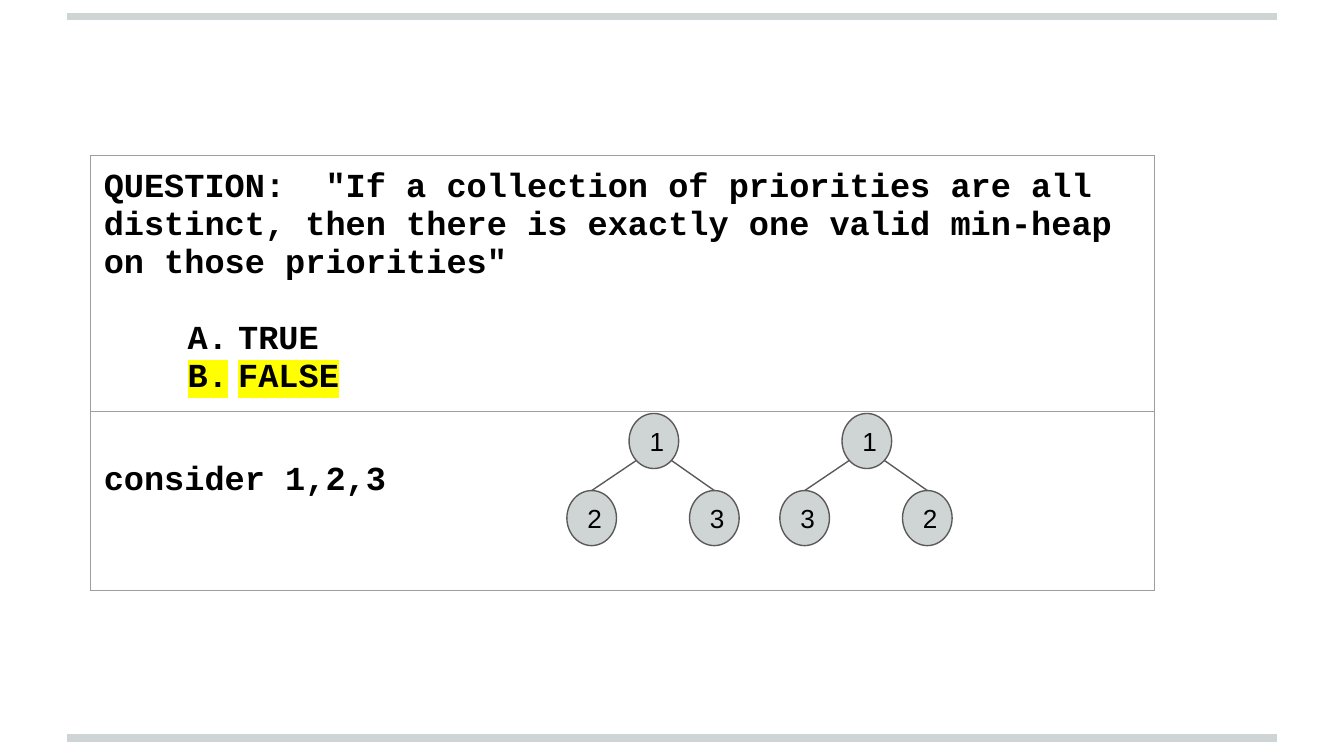
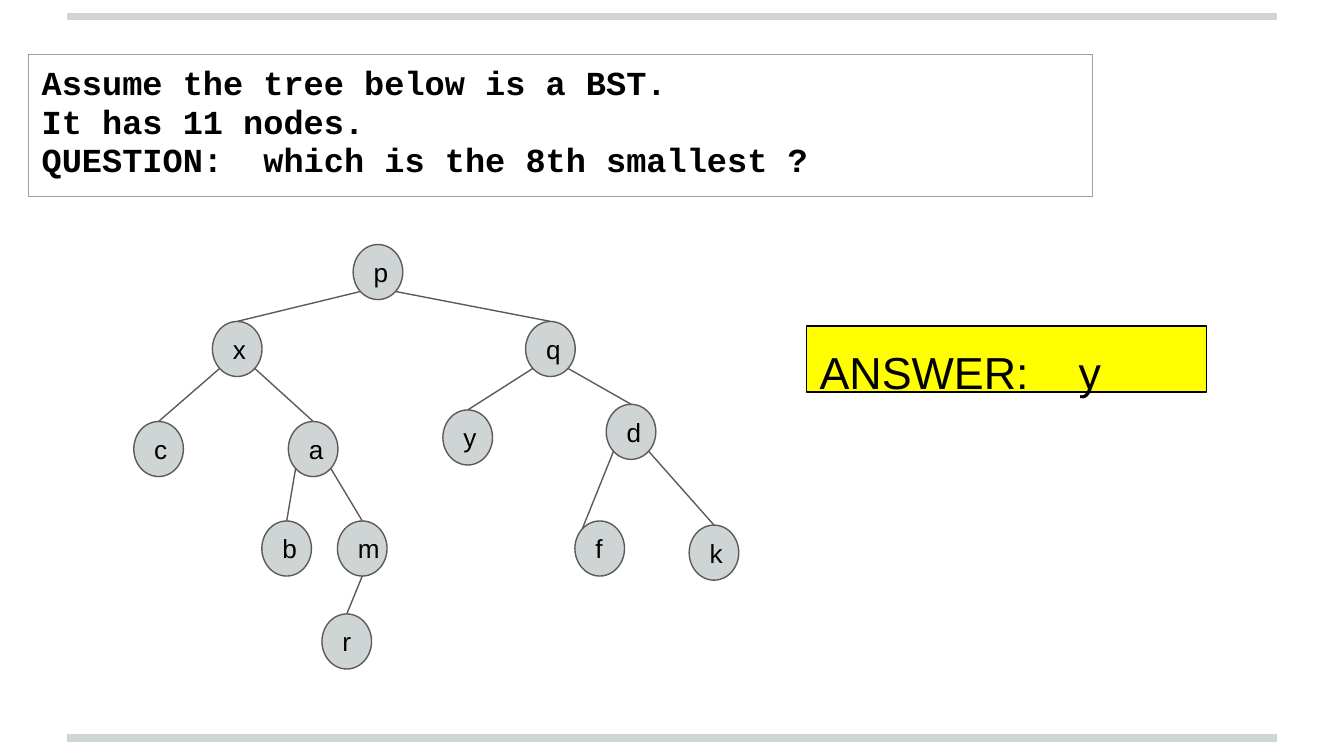
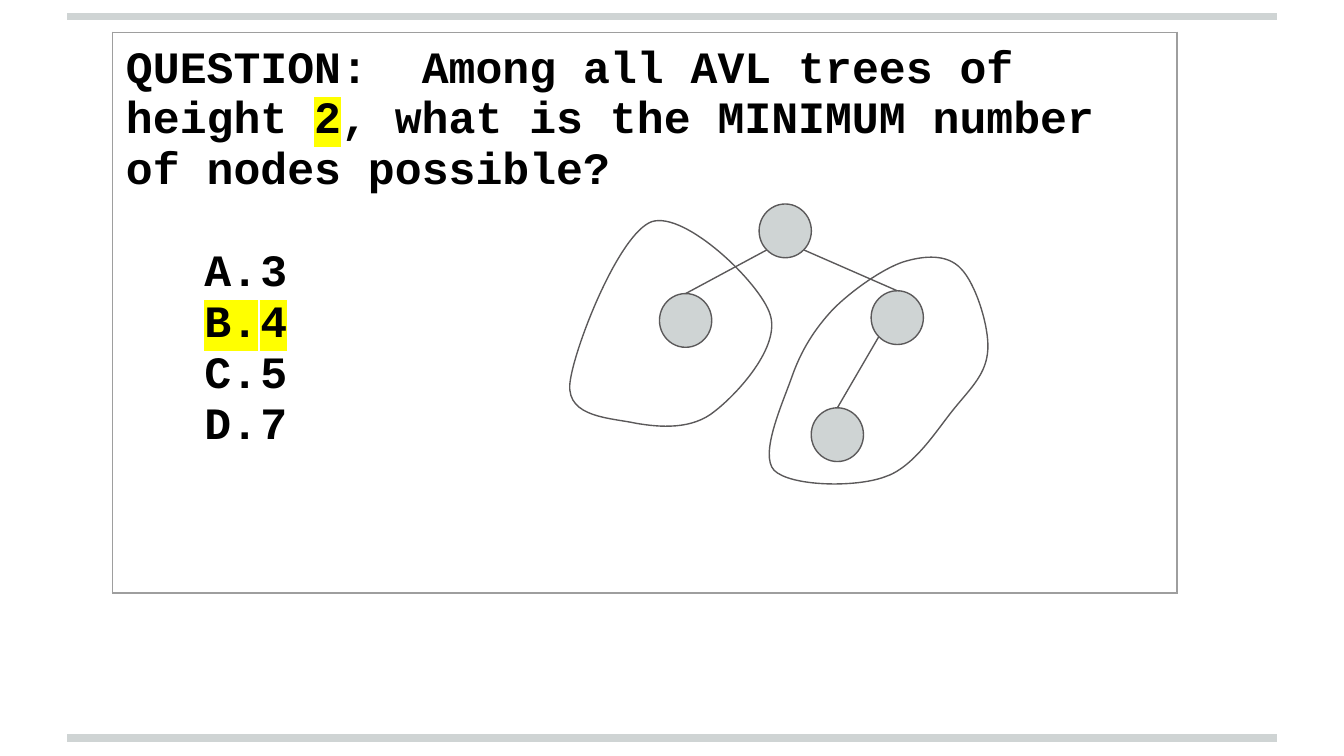
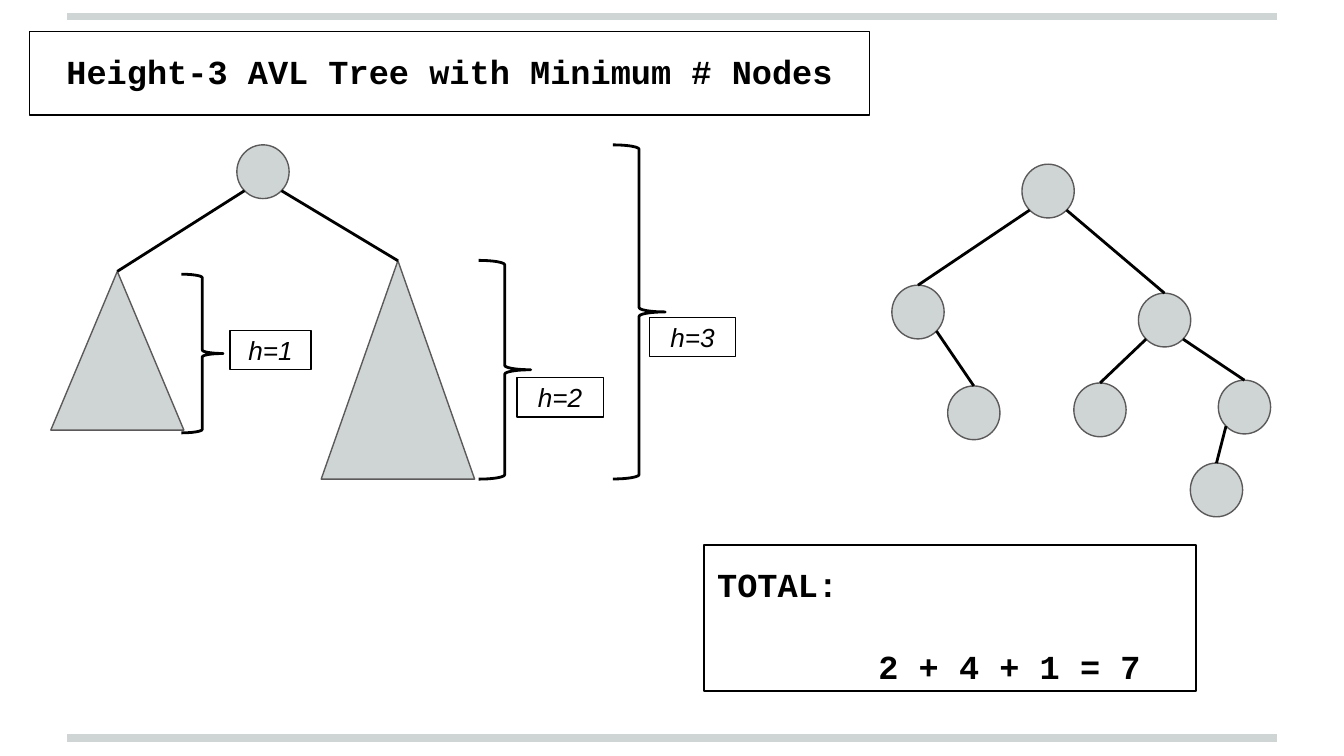
from dataclasses import dataclass

from lxml import etree
from pptx import Presentation
from pptx import util as u
from pptx.dml import color
from pptx.enum import shapes, text
from pptx.oxml import ns

Pt = u.Pt
KIND = shapes.MSO_SHAPE
ALIGN = text.PP_ALIGN
ANCHOR = text.MSO_ANCHOR


# Theme: colours, fonts and sizes
@dataclass(frozen=True)
class Theme:
    ink: str = "000000"
    pale: str = "CFD4D4"
    edge: str = "5B595A"
    grid: str = "9E9E9E"
    mark: str = "FFFF00"
    code: str = "Courier New"
    sans: str = "Arial"
    small: int = 14
    mid: int = 18
    big: int = 24
    thin: float = 0.75
    bold: float = 1.5
    band: float = 4
    pad: float = 7.2


T = Theme()
QUIZ = dict(name=T.code, size=Pt(T.mid), bold=True)
LARGE = dict(QUIZ, size=Pt(T.big))
LABEL = dict(name=T.sans, size=Pt(T.small))
RESULT = dict(name=T.sans, size=Pt(T.big))
LINE = 1.133    # line height of the code font, in ems
WIDE = 570.24   # width of every question table
DROP = 3        # extra top inset of the free-standing boxes


# Paragraph model: runs are (words, marked) pairs
@dataclass
class Para:
    runs: list
    align: object = ALIGN.LEFT
    gap: float = 0
    left: float = 0
    hang: float = 0
    tab: float = 0


def plain(words, **kw):
    return Para([(words, False)], **kw)


def choices(words, answer, size, hang):
    """Lettered options, set one line below the question."""
    return [Para([(w, w == answer)], left=72, hang=hang,
                 gap=0 if i else round(size * LINE, 1))
            for i, w in enumerate(words)]


# Small helpers
def put(item, values):
    for key, value in values.items():
        setattr(item, key, value)


def rgb(code):
    return color.RGBColor.from_string(code)


def sub(parent, tag, **attrs):
    return etree.SubElement(parent, ns.qn(tag), attrs)


def stroke(item, tint, width):
    item.line.color.rgb = rgb(tint)
    item.line.width = Pt(width)


def paint(item, fill):
    if fill:
        item.fill.solid()
        item.fill.fore_color.rgb = rgb(fill)
    else:
        item.fill.background()


# Text
def letter(props, para, face):
    """Hanging A. B. C. numbering."""
    props.set("marL", str(Pt(para.left)))
    props.set("indent", str(-Pt(para.hang)))
    sub(sub(props, "a:buClr"), "a:srgbClr", val=T.ink)
    sub(props, "a:buFont", typeface=face)
    sub(props, "a:buAutoNum", type="alphaUcPeriod")


def glow(run):
    tag = etree.Element(ns.qn("a:highlight"))
    sub(tag, "a:srgbClr", val=T.mark)
    run.font._element.find(ns.qn("a:latin")).addprevious(tag)


def write(frame, paras, style):
    for i, para in enumerate(paras):
        p = frame.add_paragraph() if i else frame.paragraphs[0]
        p.alignment = para.align
        if para.gap:
            p.space_before = Pt(para.gap)
        props = p._p.get_or_add_pPr()
        if para.hang:
            letter(props, para, style["name"])
        elif para.left:
            props.set("marL", str(Pt(para.left)))
        if para.tab:
            sub(sub(props, "a:tabLst"), "a:tab", pos=str(Pt(para.tab)), algn="l")
        for words, marked in para.runs:
            run = p.add_run()
            run.text = words
            put(run.font, style)
            run.font.color.rgb = rgb(T.ink)
            if marked:
                glow(run)


# Shapes
def shape(page, kind, box, fill=None, line=(T.edge, T.thin)):
    item = page.shapes.add_shape(kind, *map(Pt, box))
    item.shadow.inherit = False
    paint(item, fill)
    stroke(item, *line)
    return item


def box(page, place, paras, style, fill=None, drop=0, anchor=ANCHOR.TOP,
        kind=KIND.RECTANGLE, line=(T.ink, T.thin)):
    item = shape(page, kind, place, fill, line)
    pad = Pt(T.pad)
    put(item.text_frame, dict(
        word_wrap=True, vertical_anchor=anchor, margin_left=pad,
        margin_right=pad, margin_top=Pt(T.pad + drop), margin_bottom=pad))
    write(item.text_frame, paras, style)
    return item


def link(page, start, end, tint, width):
    item = page.shapes.add_connector(shapes.MSO_CONNECTOR.STRAIGHT, *start, *end)
    stroke(item, tint, width)
    sub(item._element.spPr, "a:effectLst")
    return item


def bands(page):
    for y in (395.5, 8.8):
        link(page, (Pt(36), Pt(y)), (Pt(684), Pt(y)), T.pale, T.band)


def table(page, x, y, rows):
    """One-column table; rows are (height, top inset, paragraphs, style)."""
    high = sum(row[0] for row in rows)
    grid = page.shapes.add_table(len(rows), 1, *map(Pt, (x, y, WIDE, high))).table
    put(grid, dict(first_row=False, horz_banding=False))
    for i, (tall, top, paras, style) in enumerate(rows):
        grid.rows[i].height = Pt(tall)
        cell = grid.cell(i, 0)
        pad = Pt(T.pad)
        put(cell, dict(margin_left=pad, margin_right=pad,
                       margin_top=Pt(top), margin_bottom=pad))
        write(cell.text_frame, paras, style)
        props = cell._tc.get_or_add_tcPr()
        for side in "LRTB":
            rule = sub(props, f"a:ln{side}", w=str(Pt(T.thin)))
            sub(sub(rule, "a:solidFill"), "a:srgbClr", val=T.grid)
        cell.fill.background()


def blob(page, points):
    """Closed outline: a start point, then three points for each curve."""
    spots = [(Pt(x), Pt(y)) for x, y in points]
    pen = page.shapes.build_freeform(*spots[0])
    pen.add_line_segments(spots[1:], close=True)
    item = pen.convert_to_shape()
    item.shadow.inherit = False
    paint(item, None)
    stroke(item, T.edge, T.thin)
    steps = list(item._element.iter(ns.qn("a:lnTo")))
    for i in range(0, len(points) - 1, 3):
        curve = etree.Element(ns.qn("a:cubicBezTo"))
        steps[i].addprevious(curve)
        for step in steps[i:i + 3]:
            curve.append(step[0])
            step.getparent().remove(step)


# Trees
def spot(node, across, down):
    """Point on an ellipse's rim; across and down are -1, 0 or 1."""
    k = 0.5 * (0.707 if across and down else 1)
    return (int(node.left + node.width * (0.5 + k * across)),
            int(node.top + node.height * (0.5 + k * down)))


def join(page, up, low, line=(T.edge, T.thin), side=None):
    """Line from the parent's lower rim to the top of the child."""
    if side is None:
        side = 1 if low.left + low.width / 2 > up.left + up.width / 2 else -1
    item = link(page, spot(up, side, 1), spot(low, 0, -1), *line)
    item.end_connect(low, 0)


def named(page, places):
    return {key: box(page, (x, y, 26.6, 29.5), [plain(key)], LABEL, T.pale,
                     anchor=ANCHOR.MIDDLE, kind=KIND.OVAL, line=(T.edge, T.thin))
            for key, (x, y) in places.items()}


def blank(page, places):
    return {key: shape(page, KIND.OVAL, (x, y, 28, 28.8), T.pale)
            for key, (x, y) in places.items()}


def joins(page, nodes, pairs, **kw):
    for up, low in pairs.split():
        join(page, nodes[up], nodes[low], **kw)


# Slides
def heap(page):
    ask = ('QUESTION:  "If a collection of priorities are all distinct, then '
           'there is exactly one valid min-heap on those priorities"')
    opts = choices(["TRUE", "FALSE"], "FALSE", T.mid, 27)
    table(page, 48.4, 83.4, [
        (136.8, T.pad, [plain(ask)] + opts, QUIZ),
        (96, 27.6, [plain("consider 1,2,3")], QUIZ)])
    for x, left, right in ((337, "2", "3"), (451.1, "3", "2")):
        nodes = named(page, {"1": (x, 221.5), left: (x - 33.3, 262.8),
                             right: (x + 32.4, 262.8)})
        joins(page, nodes, f"1{left} 1{right}")


def search(page):
    table(page, 15.1, 29.2, [(76.3, T.pad, [
        plain("Assume the tree below is a BST."),
        plain("It has 11 nodes."),
        plain("QUESTION:  which is the 8th smallest ?")], QUIZ)])
    nodes = named(page, {
        "p": (189.2, 131), "q": (281.6, 172.2), "x": (113.8, 172.2),
        "c": (71.7, 225.8), "y": (237.3, 219.6), "d": (324.8, 216.6),
        "a": (154.5, 225.8), "m": (180.8, 279.1), "b": (140.3, 279.1),
        "r": (172.5, 328.9), "f": (308, 279.1), "k": (369.2, 281.3)})
    joins(page, nodes, "px pq xc xa ab am qy qd dk")
    joins(page, nodes, "mr", side=0)
    link(page, spot(nodes["d"], -1, 1), spot(nodes["f"], -1, -1), T.edge, T.thin)
    box(page, (432, 174.7, 214.2, 35.3), [plain("ANSWER:\ty", tab=138.7)],
        RESULT, T.mark, DROP)


def least(page):
    ask = Para([("QUESTION:  Among all AVL trees of height ", False),
                ("2", True),
                (", what is the MINIMUM number of nodes possible?", False)])
    opts = choices("3457".replace("3457", "3457"), "4", T.big, 30)
    table(page, 60.3, 17.3, [(300.4, T.pad, [ask] + opts, LARGE)])
    nodes = blank(page, {"t": (406.7, 109.3), "l": (353.3, 157.3),
                         "r": (466.7, 155.8), "b": (434.6, 218.5)})
    joins(page, nodes, "tl tr rb")
    blob(page, [
        (340.6, 226.8), (353.5, 229), (370.8, 230.4), (383, 220.3),
        (395, 211), (418.3, 185.8), (412.6, 168.5),
        (407.5, 151.9), (367.2, 113), (349.2, 118.8),
        (331.2, 125.3), (306.7, 188.6), (305.3, 205.9),
        (303.8, 223.9), (327.6, 223.9), (340.6, 226.8)])
    blob(page, [
        (529.2, 187.2), (529.9, 175), (522.7, 151.9), (514.8, 144),
        (507.6, 136.1), (495.4, 136.8), (483.8, 140.4),
        (473, 144), (456.5, 155.5), (446.4, 165.6),
        (436.3, 176.4), (429.1, 187.9), (424.1, 202.3),
        (419, 216.7), (406.8, 243.4), (414.7, 252),
        (423.4, 260.6), (457.9, 261.4), (473.8, 255.6),
        (489.6, 250.6), (501.8, 230.4), (511.2, 218.9),
        (520.6, 207.4), (528.5, 200.2), (529.2, 187.2)])


def total(page):
    heavy = (T.ink, T.bold)
    box(page, (15.8, 17, 450, 44.6),
        [plain("Height-3 AVL Tree with Minimum # Nodes", align=ALIGN.CENTER)],
        QUIZ, drop=DROP)
    # Scheme: a root over two subtrees
    top = blank(page, {"t": (126.9, 77.6)})["t"]
    for place in ((27.2, 145.4, 71.3, 85), (172.1, 139.7, 82.2, 117)):
        join(page, top, shape(page, KIND.ISOSCELES_TRIANGLE, place, T.pale), heavy)
    # Heights
    for i, (brace, place) in enumerate((
            ((97.2, 146.9, 22.3, 85), (123.2, 177.1, 43.4, 21)),
            ((256.4, 139.5, 28, 117.2), (277, 202.4, 46.2, 21)),
            ((328.4, 77.6, 28, 179), (347.9, 170, 46.2, 21))), 1):
        shape(page, KIND.RIGHT_BRACE, brace, line=heavy)
        box(page, place, [plain(f"h={i}", align=ALIGN.CENTER)],
            dict(LABEL, italic=True), anchor=ANCHOR.MIDDLE)
    # Full tree
    nodes = blank(page, {
        "t": (547.5, 88), "l": (477.8, 152.8), "r": (609.9, 157.1),
        "a": (507.7, 206.8), "b": (575.3, 205.2), "c": (652.7, 203.7),
        "d": (637.7, 248.1)})
    joins(page, nodes, "tl tr la rb rc cd", line=heavy)
    box(page, (377.1, 292, 263.7, 78.3),
        [plain("TOTAL:"), plain("2 + 4 + 1 = 7", gap=22.5, left=86.4)],
        QUIZ, drop=DROP)


def main():
    deck = Presentation()
    put(deck, dict(slide_width=Pt(720), slide_height=Pt(405)))
    for draw in (heap, search, least, total):
        page = deck.slides.add_slide(deck.slide_layouts[6])
        bands(page)
        draw(page)
    deck.save("out.pptx")


if __name__ == "__main__":
    main()
